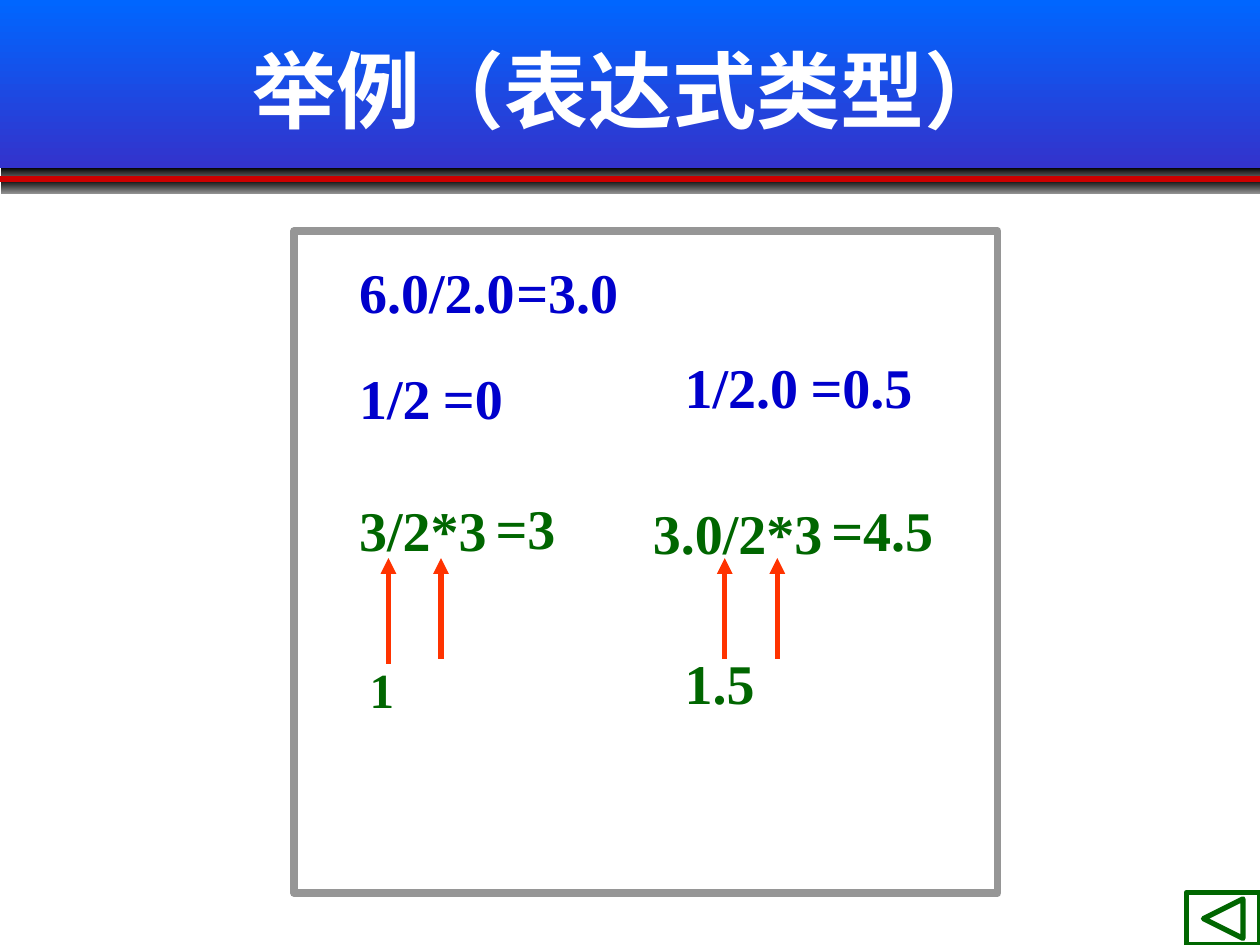
from dataclasses import dataclass

from lxml.etree import SubElement
from pptx import Presentation
from pptx.dml.color import RGBColor
from pptx.enum.shapes import MSO_CONNECTOR as Conn, MSO_SHAPE as Shp
from pptx.enum.text import MSO_ANCHOR as Anchor, PP_ALIGN as Align
from pptx.oxml.ns import qn
from pptx.util import Cm, Pt

BLUE, GREEN, RED = "0000CC", "006600", "FF3300"


@dataclass
class Label:
    text: str
    left: float
    top: float
    width: float
    color: str
    size: int = 32
    height: float = 1.6
    font: str = "Times New Roman"
    anchor: Anchor = Anchor.BOTTOM
    align: Align = Align.LEFT


@dataclass
class Band:
    left: float
    top: float
    height: float
    start: str
    end: str


@dataclass
class Arrow:
    x: float
    bottom: float = 13.28


TITLE = Label("举例（表达式类型）", 1.91, 0.2, 21.59, "FFFFFF", 48, 3.18,
              "Arial", Anchor.MIDDLE, Align.CENTER)
BANDS = [
    Band(0, 0, 3.38, "0066FF", "3333CC"),
    Band(0.03, 3.38, 0.3, "000000", "929292"),
    Band(0.03, 3.61, 0.3, "000000", "929292"),
]
LABELS = [
    Label("6.0/2.0", 6.99, 5.08, 4.02, BLUE),
    Label("=3.0", 10.16, 5.08, 2.96, BLUE),
    Label("1/2", 6.99, 7.2, 2.33, BLUE),
    Label("=0", 8.68, 7.2, 2.33, BLUE),
    Label("1/2.0", 13.55, 6.99, 3.39, BLUE),
    Label("=0.5", 16.09, 6.99, 2.96, BLUE),
    Label("3/2*3", 6.99, 9.86, 4.02, GREEN),
    Label("=3", 9.74, 9.83, 4.02, GREEN),
    Label("3.0/2*3", 12.91, 9.92, 4.02, GREEN),
    Label("=4.5", 16.51, 9.86, 4.02, GREEN),
    Label("1", 7.2, 13.16, 0.85, GREEN, 28, 1.45),
    Label("1.5", 13.55, 12.95, 2.12, GREEN),
]
ARROWS = [Arrow(7.83, 13.38), Arrow(8.89), Arrow(14.61), Arrow(15.67)]


def rgb(value: str) -> RGBColor:
    return RGBColor.from_string(value)


def add_band(s, band: Band) -> None:
    sp = s.shapes.add_shape(Shp.RECTANGLE, Cm(band.left), Cm(band.top),
                            Cm(25.4 - band.left), Cm(band.height))
    sp.shadow.inherit = False
    sp.line.fill.background()
    sp.fill.gradient()
    sp.fill.gradient_angle = 270
    for stop, color in zip(sp.fill.gradient_stops, (band.start, band.end)):
        stop.color.rgb = rgb(color)


def add_label(s, label: Label) -> None:
    sp = s.shapes.add_textbox(Cm(label.left), Cm(label.top),
                              Cm(label.width), Cm(label.height))
    tf = sp.text_frame
    tf.word_wrap = True
    tf.vertical_anchor = label.anchor
    p = tf.paragraphs[0]
    p.text = label.text
    p.alignment = label.align
    p.font.name = label.font
    p.font.size = Pt(label.size)
    p.font.bold = True
    p.font.color.rgb = rgb(label.color)


def add_outline(s, kind: Shp, left: float, top: float, width: float,
                height: float, color: str, weight: float) -> None:
    sp = s.shapes.add_shape(kind, Cm(left), Cm(top), Cm(width), Cm(height))
    sp.shadow.inherit = False
    sp.fill.background()
    sp.line.color.rgb = rgb(color)
    sp.line.width = Pt(weight)


def add_line(s, x1: float, y1: float, x2: float, y2: float, color: str,
             arrow: bool = False) -> None:
    cx = s.shapes.add_connector(Conn.STRAIGHT, Cm(x1), Cm(y1), Cm(x2), Cm(y2))
    cx.line.color.rgb = rgb(color)
    cx.line.width = Pt(3)
    if arrow:
        SubElement(cx.line._get_or_add_ln(), qn("a:headEnd"), type="triangle")
    SubElement(cx._element.spPr, qn("a:effectLst"))


def main() -> None:
    """Build the slide on expression types and save it."""
    prs = Presentation()
    prs.slide_width, prs.slide_height = Cm(25.4), Cm(19.05)
    s = prs.slides.add_slide(prs.slide_layouts[6])
    for band in BANDS:
        add_band(s, band)
    add_line(s, 0, 3.61, 25.4, 3.61, "CC0000")
    add_label(s, TITLE)
    add_outline(s, Shp.RECTANGLE, 5.93, 4.66, 14.18, 13.34, "969696", 4.5)
    for label in LABELS:
        add_label(s, label)
    for arrow in ARROWS:
        add_line(s, arrow.x, 11.25, arrow.x, arrow.bottom, RED, arrow=True)
    add_outline(s, Shp.ACTION_BUTTON_BACK_OR_PREVIOUS, 23.92, 17.99, 1.48, 1.06,
                GREEN, 3)
    prs.save("out.pptx")


if __name__ == "__main__":
    main()
